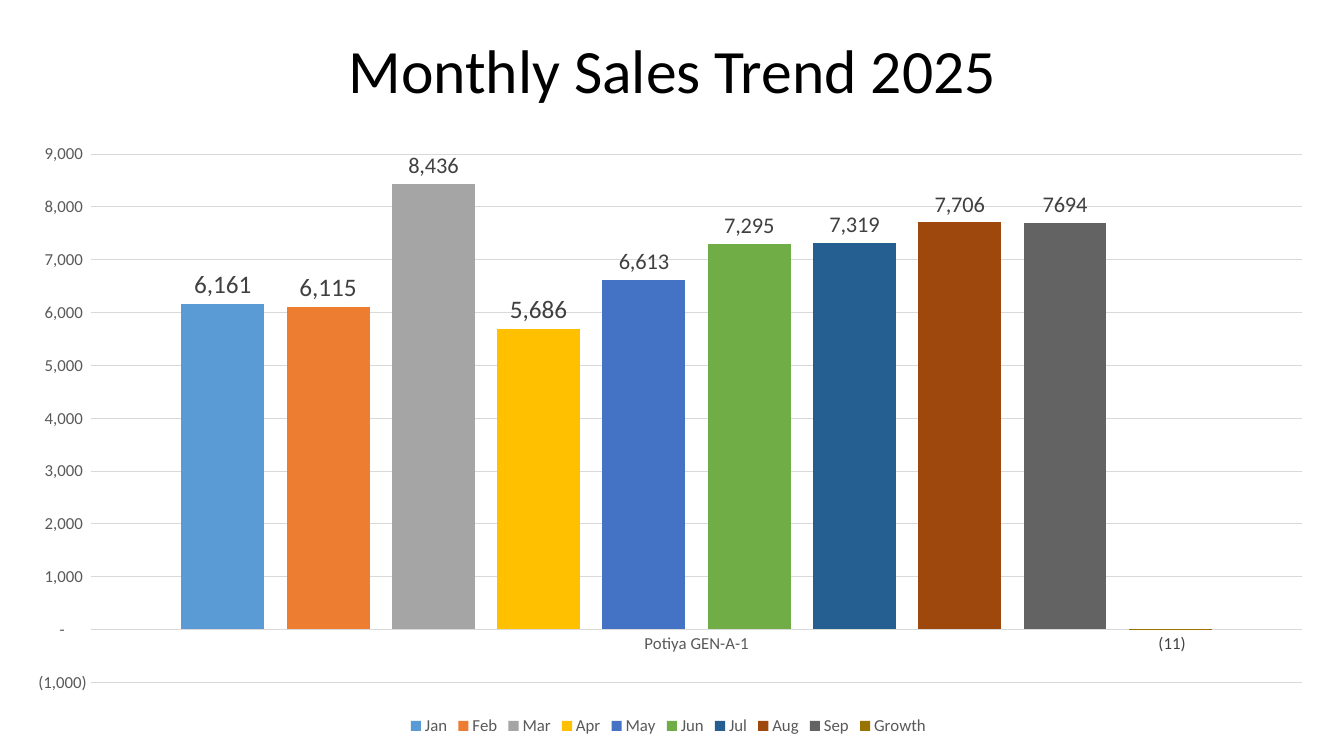
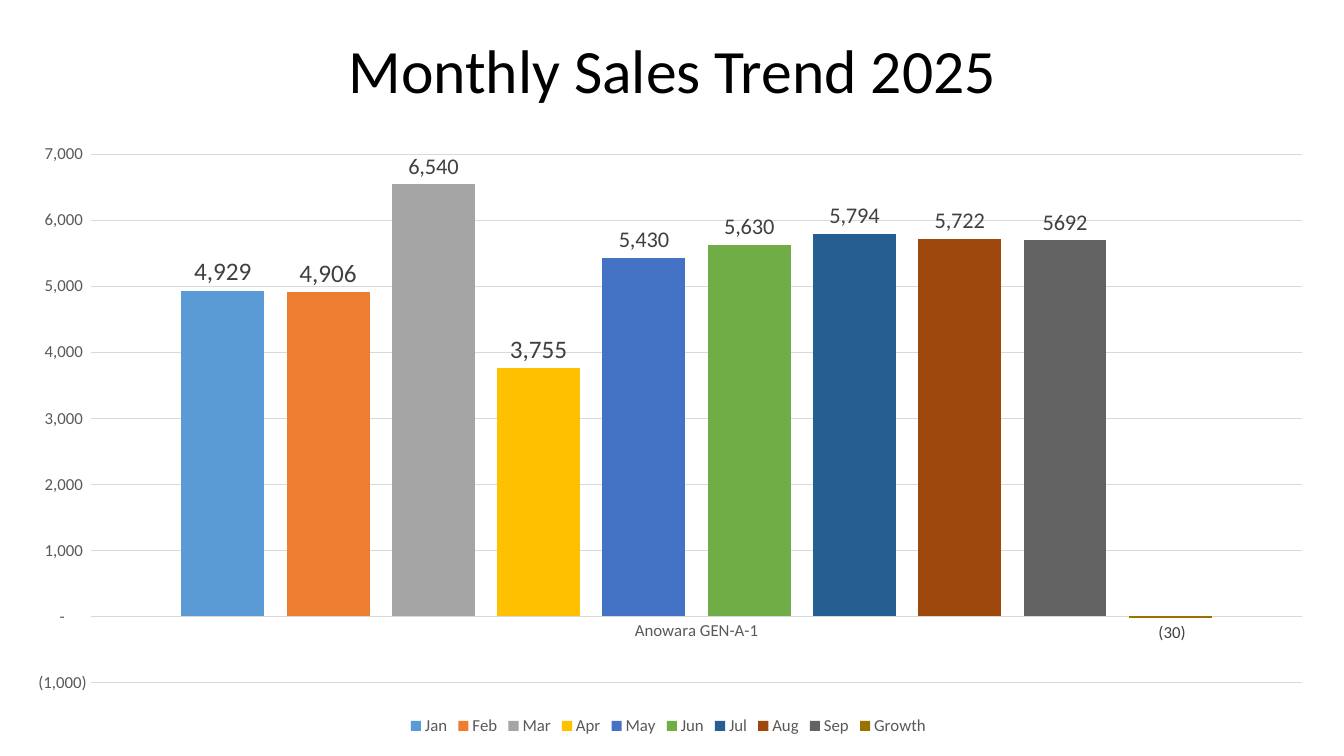
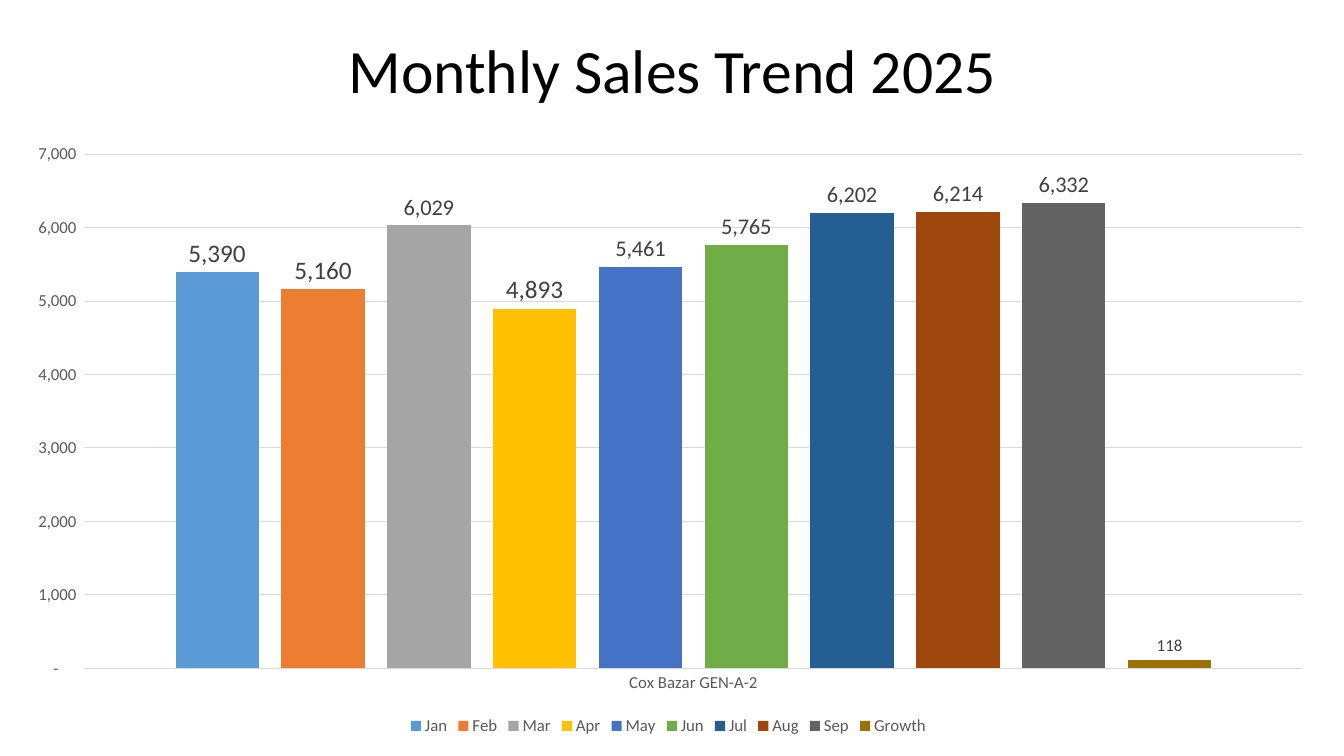
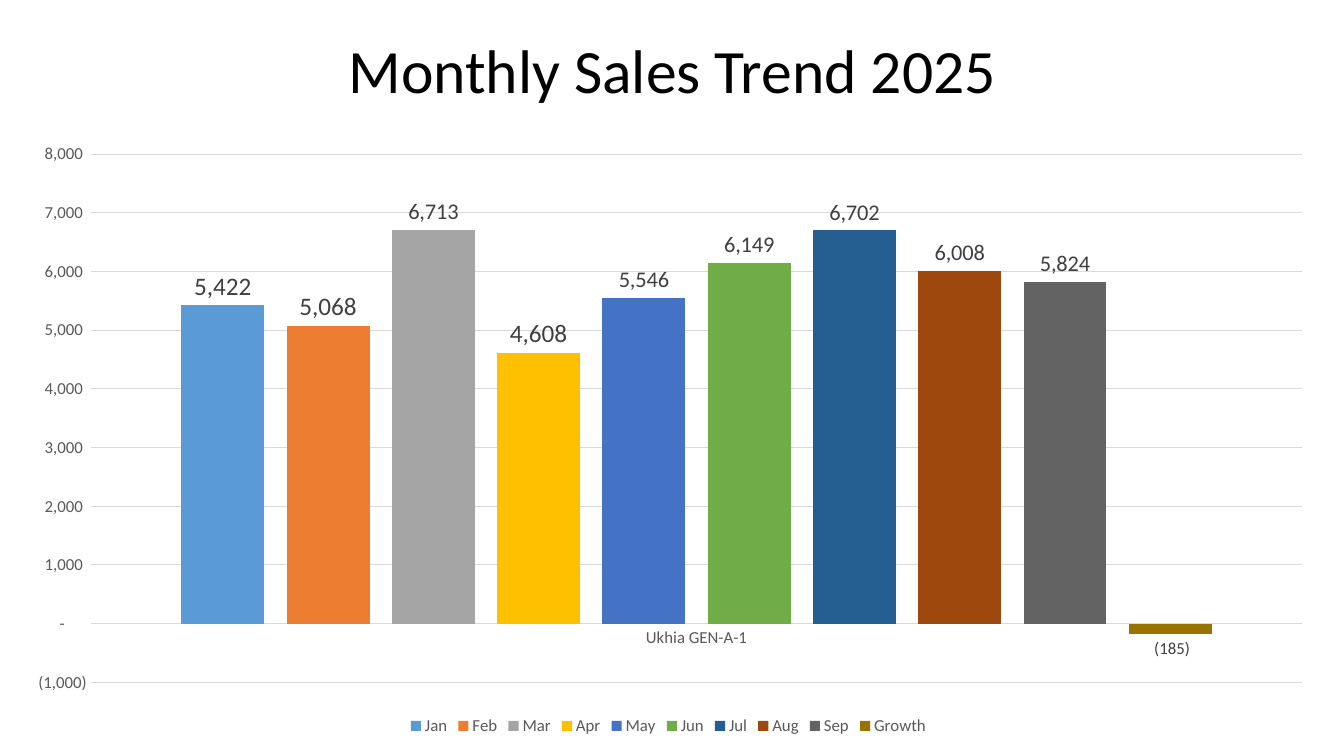
"""Build four monthly sales slides, one column chart per territory."""
import pptx
import pptx.chart.data
import pptx.dml.color
import pptx.enum.chart
import pptx.enum.text
import pptx.util

Inches = pptx.util.Inches
ACCOUNTING = '_(* #,##0_);_(* \\(#,##0\\);_(* "-"??_);_('
PLAIN = "0"
COLORS = {
    "title": "000000", "axis": "595959", "label": "404040", "grid": "D9D9D9",
    "Jan": "5B9BD5", "Feb": "ED7D31", "Mar": "A5A5A5", "Apr": "FFC000", "May": "4472C4",
    "Jun": "70AD47", "Jul": "255E91", "Aug": "9E480E", "Sep": "636363", "Growth": "997300",
}
COLUMNS = ["Jan", "Feb", "Mar", "Apr", "May", "Jun", "Jul", "Aug", "Sep", "Growth"]
LABEL_SIZES = {"Jan": 18, "Feb": 18, "Apr": 18, "Growth": 12}
TERRITORIES = [
    ("Potiya GEN-A-1", [6161, 6115, 8436, 5686, 6613, 7295, 7319, 7706, 7694, -11], PLAIN),
    ("Anowara GEN-A-1", [4929, 4906, 6540, 3755, 5430, 5630, 5794, 5722, 5692, -30], PLAIN),
    ("Cox Bazar GEN-A-2", [5390, 5160, 6029, 4893, 5461, 5765, 6202, 6214, 6332, 118], ACCOUNTING),
    ("Ukhia GEN-A-1", [5422, 5068, 6713, 4608, 5546, 6149, 6702, 6008, 5824, -185], ACCOUNTING),
]


def color(name):
    """Return the named colour."""
    return pptx.dml.color.RGBColor.from_string(COLORS[name])


def apply(target, values):
    """Set each attribute of the target from a dict."""
    for name, value in values.items():
        setattr(target, name, value)


class SalesDeck:
    """Hold the deck style and the current slide."""

    def __init__(self):
        """Start an empty wide deck."""
        self.deck = pptx.Presentation()
        apply(self.deck, {"slide_width": Inches(13.33), "slide_height": Inches(7.5)})
        self.page = None

    def style_font(self, font, size, shade):
        """Give a font the deck typeface, a size and a colour."""
        apply(font, {"name": "Calibri", "size": pptx.util.Pt(size)})
        font.color.rgb = color(shade)

    def style_line(self, line):
        """Draw a thin grey line."""
        line.color.rgb = color("grid")
        line.width = pptx.util.Pt(0.75)

    def add_page(self, title):
        """Add a slide with its title."""
        self.page = self.deck.slides.add_slide(self.deck.slide_layouts[5])
        box = self.page.shapes.title
        apply(box, {"left": Inches(0.92), "top": Inches(0.15),
                    "width": Inches(11.5), "height": Inches(1.16)})
        box.text_frame.vertical_anchor = pptx.enum.text.MSO_ANCHOR.MIDDLE
        para = box.text_frame.paragraphs[0]
        apply(para, {"text": title, "line_spacing": 0.9,
                     "alignment": pptx.enum.text.PP_ALIGN.CENTER})
        self.style_font(para.runs[0].font, 44, "title")

    def add_column_chart(self, territory, values, september_format):
        """Add the column chart of one territory."""
        data = pptx.chart.data.CategoryChartData(number_format=ACCOUNTING)
        data.categories = [territory]
        for name, value in zip(COLUMNS, values):
            data.add_series(name, [value])
        chart = self.page.shapes.add_chart(
            pptx.enum.chart.XL_CHART_TYPE.COLUMN_CLUSTERED,
            Inches(0.08), Inches(1.31), Inches(13.1), Inches(6.03), data).chart
        apply(chart, {"has_title": False, "has_legend": True})
        self.style_font(chart.font, 10, "title")
        apply(chart.legend, {"position": pptx.enum.chart.XL_LEGEND_POSITION.BOTTOM,
                             "include_in_layout": False})
        self.style_font(chart.legend.font, 12, "axis")
        self.style_axes(chart)
        plot = chart.plots[0]
        apply(plot, {"gap_width": 219, "overlap": -27, "vary_by_categories": False})
        for series in plot.series:
            number_format = september_format if series.name == "Sep" else ACCOUNTING
            self.style_series(series, number_format)

    def style_axes(self, chart):
        """Format both axes and the gridlines."""
        for axis in (chart.category_axis, chart.value_axis):
            apply(axis, {"major_tick_mark": pptx.enum.chart.XL_TICK_MARK.NONE,
                         "minor_tick_mark": pptx.enum.chart.XL_TICK_MARK.NONE})
            self.style_font(axis.tick_labels.font, 12, "axis")
        self.style_line(chart.category_axis.format.line)
        self.style_line(chart.value_axis.major_gridlines.format.line)
        chart.value_axis.format.line.fill.background()
        apply(chart.value_axis.tick_labels,
              {"number_format": ACCOUNTING, "number_format_is_linked": False})

    def style_series(self, series, number_format):
        """Colour one column and label its value."""
        series.invert_if_negative = False
        series.format.fill.solid()
        series.format.fill.fore_color.rgb = color(series.name)
        labels = series.data_labels
        apply(labels, {"show_value": True, "number_format": number_format,
                       "number_format_is_linked": False,
                       "position": pptx.enum.chart.XL_LABEL_POSITION.OUTSIDE_END})
        self.style_font(labels.font, LABEL_SIZES.get(series.name, 16), "label")


def main():
    """Build and save the deck."""
    sales = SalesDeck()
    for territory, values, september_format in TERRITORIES:
        sales.add_page("Monthly Sales Trend 2025")
        sales.add_column_chart(territory, values, september_format)
    sales.deck.save("out.pptx")


if __name__ == "__main__":
    main()
